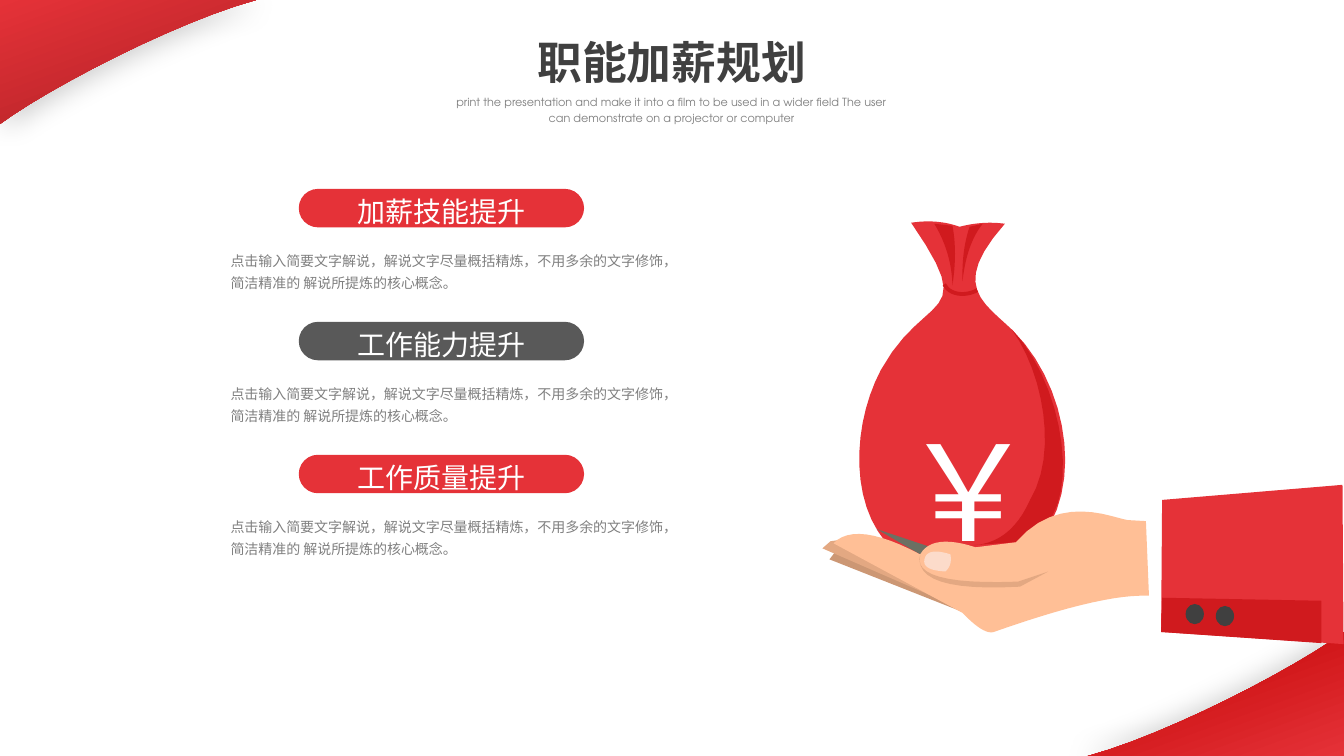
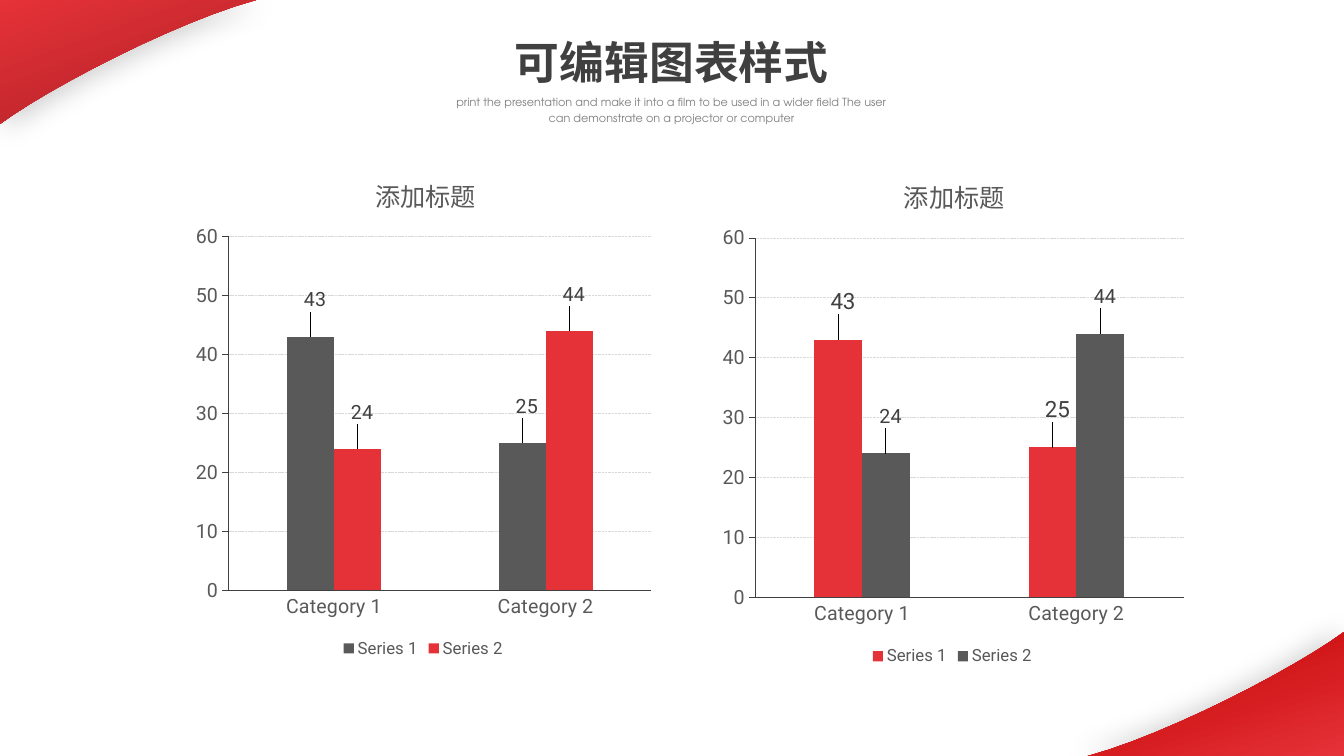
from math import comb

from lxml.etree import SubElement
from pptx import Presentation
from pptx.chart.data import CategoryChartData
from pptx.dml.color import RGBColor
from pptx.enum.chart import XL_CHART_TYPE as ChartType
from pptx.enum.chart import XL_LABEL_POSITION as LabelPosition
from pptx.enum.chart import XL_LEGEND_POSITION as LegendPosition
from pptx.enum.chart import XL_TICK_MARK as TickMark
from pptx.enum.dml import MSO_LINE as LineStyle
from pptx.enum.shapes import MSO_SHAPE as ShapeKind
from pptx.enum.text import MSO_AUTO_SIZE as AutoSize
from pptx.enum.text import PP_ALIGN as Align
from pptx.oxml import parse_xml
from pptx.oxml.ns import nsdecls, qn
from pptx.util import Cm, Pt

RED = RGBColor.from_string("E53238")
DEEP_RED = RGBColor.from_string("D01A1E")
BAND_DARK = RGBColor.from_string("AC2125")
BAND_CRIMSON = RGBColor.from_string("C00000")
WHITE = RGBColor.from_string("FFFFFF")
BLACK = RGBColor.from_string("000000")
INK = RGBColor.from_string("404040")
SLATE = RGBColor.from_string("595959")
GREY = RGBColor.from_string("808080")
GRID = RGBColor.from_string("D9D9D9")
OLIVE = RGBColor.from_string("6C7063")
SKIN = RGBColor.from_string("FFBF96")
SKIN_SHADE = RGBColor.from_string("E3A882")
SKIN_DARK = RGBColor.from_string("CC9774")
NAIL = RGBColor.from_string("FCDBCA")

CJK_FONT = "Noto Sans CJK SC"
TITLE_FONT = "TeX Gyre Adventor"
CHART_FONT = "Roboto"

OUTLINE_UNIT = Cm(2.54) / 100
CURVE_STEPS = 12

SUBTITLE = ("print the presentation and make it into a film to be used in a wider field "
            "The user can demonstrate on a projector or computer")
ADVICE = ("点击输入简要文字解说，解说文字尽量概括精炼，不用多余的文字修饰，"
          "简洁精准的 解说所提炼的核心概念。")

BAND = [(0, 0), (254, 0), (174, 22, 49, 87, 0, 123)]
BAG = [(904, 221), (972, 320, 918, 287, 874, 367), (849, 414, 843, 483, 871, 527),
       (900, 574, 945, 567, 985, 565), (1020, 562, 1042, 520),
       (1072, 465, 1055, 378, 1005, 328), (976, 300, 942, 284, 997, 222),
       (975, 219, 952, 225), (930, 217, 904, 221)]
BAG_SHADE = [(1004, 327), (1035, 370, 1050, 450, 1022, 496), (1002, 541, 962, 541),
             (1008, 538), (1044, 512), (1068, 470, 1050, 375, 1004, 327)]
BAG_BASE = [(870, 525), (913, 550), (921, 542)]
LEFT_FOLD = [(927, 222), (944, 250, 945, 283), (950, 250, 945, 224)]
RIGHT_FOLD = [(975, 222), (962, 225), (954, 249, 955, 279), (959, 242, 975, 222)]
LOWER_FINGER = [(823, 555), (970, 613), (989, 589), (830, 546)]
UPPER_FINGER = [(816, 544), (963, 608), (982, 584), (870, 527, 824, 537)]
HAND = [(1137, 517), (1119, 516), (1104, 514, 1051, 488, 1008, 538), (968, 543),
        (925, 529, 913, 550), (849, 516, 827, 539), (955, 608),
        (976, 630, 986, 627), (1085, 592, 1131, 591), (1140, 591)]
THUMB_CREASE = [(913, 550), (903, 581, 1010, 577), (1040, 567), (1012, 582),
                (905, 588, 913, 550)]
THUMB_NAIL = [(943, 550), (945, 561, 938, 567), (917, 566, 917, 557),
              (918, 542, 943, 550)]
SLEEVE = [(1153, 496), (1152, 627), (1333, 639), (1332, 481)]
CUFF = [(1153, 593), (1152, 627), (1311, 638), (1311, 596)]

BAG_IN_HAND = [
    (RED, BAG), (DEEP_RED, BAG_SHADE), (OLIVE, BAG_BASE),
    (DEEP_RED, LEFT_FOLD), (DEEP_RED, RIGHT_FOLD),
    (SKIN_DARK, LOWER_FINGER), (SKIN_SHADE, UPPER_FINGER), (SKIN, HAND),
    (SKIN_SHADE, THUMB_CREASE), (NAIL, THUMB_NAIL), (RED, SLEEVE), (DEEP_RED, CUFF),
]

RAISE_PLANS = [("加薪技能提升", RED), ("工作能力提升", SLATE), ("工作质量提升", RED)]
SCORES = [("Series 1", (43, 25)), ("Series 2", (24, 44))]


def bezier(nodes, share):
    degree = len(nodes) - 1
    weights = [comb(degree, i) * share ** i * (1 - share) ** (degree - i)
               for i in range(degree + 1)]
    return tuple(sum(weight * node[axis] for weight, node in zip(weights, nodes))
                 for axis in (0, 1))


def add_outline(shapes, outline):
    points = outline[:1]
    for segment in outline[1:]:
        nodes = [points[-1], *zip(segment[::2], segment[1::2])]
        steps = CURVE_STEPS if len(nodes) > 2 else 1
        points += [bezier(nodes, step / steps) for step in range(1, steps + 1)]
    corners = [(x * OUTLINE_UNIT, y * OUTLINE_UNIT) for x, y in points]
    builder = shapes.build_freeform(*corners[0], scale=1.0)
    builder.add_line_segments(corners[1:], close=True)
    shape = builder.convert_to_shape()
    shape.line.fill.background()
    shape.shadow.inherit = False
    return shape


def paint(shape, color):
    shape.fill.solid()
    shape.fill.fore_color.rgb = color
    shape.line.fill.background()
    shape.shadow.inherit = False


def add_band(page, layout, end_color, shadow_angle):
    band = add_outline(page.shapes, BAND)
    band.fill.gradient()
    band.fill.gradient_angle = 290
    for stop, color in zip(band.fill.gradient_stops, (RED, end_color)):
        stop.color.rgb = color
    effects = band.element.find(".//" + qn("a:effectLst"))
    effects.append(parse_xml(
        f'<a:outerShdw {nsdecls("a")} blurRad="{Pt(20)}" dist="{Pt(5)}" '
        f'dir="{shadow_angle * 60000}" algn="ctr" rotWithShape="0">'
        '<a:srgbClr val="000000"><a:alpha val="20000"/></a:srgbClr></a:outerShdw>'))
    layout.shapes.element.append(band.element)
    return band


def set_font(font, size, color, name, bold=None):
    font.size = Pt(size)
    font.color.rgb = color
    font.name = name
    font.bold = bold


def add_text(page, text, place, size, color, name=CJK_FONT, align=Align.CENTER,
             spacing=1.3, bold=None, wrap=True, grow=True):
    box = page.shapes.add_textbox(*map(Cm, place))
    frame = box.text_frame
    frame.word_wrap = wrap
    frame.auto_size = AutoSize.SHAPE_TO_FIT_TEXT if grow else AutoSize.NONE
    para = frame.paragraphs[0]
    para.text = text
    para.alignment = align
    para.line_spacing = spacing
    set_font(para.font, size, color, name, bold)
    for latin in list(box.element.iter(qn("a:latin"))):
        latin.addnext(parse_xml(f'<a:ea {nsdecls("a")} typeface="{CJK_FONT}"/>'))


def add_heading(page, title):
    add_text(page, title, (11, 0.74, 11.86, 1.63), 32, INK, TITLE_FONT,
             spacing=None, bold=True)
    add_text(page, SUBTITLE, (11, 2.21, 11.86, 1.07), 8, GREY, TITLE_FONT, spacing=1.2)


def add_raise_plan(page, name, color, top):
    pill = page.shapes.add_shape(ShapeKind.ROUNDED_RECTANGLE,
                                 Cm(7.53), Cm(top), Cm(7.19), Cm(0.97))
    pill.adjustments[0] = 0.5
    paint(pill, color)
    add_text(page, name, (8.74, top - 0.24, 4.78, 1.27), 20, WHITE, wrap=False)
    add_text(page, ADVICE, (5.56, top + 1.36, 11.94, 1.32), 10, GREY, align=Align.LEFT)


def add_bag_in_hand(page):
    group = page.shapes.add_group_shape()
    for color, outline in BAG_IN_HAND:
        paint(add_outline(group.shapes, outline), color)
    for left, top in ((29.88, 15.22), (30.64, 15.27)):
        button = group.shapes.add_shape(ShapeKind.OVAL, Cm(left), Cm(top),
                                        Cm(0.46), Cm(0.51))
        paint(button, INK)
    tie = group.shapes.add_shape(ShapeKind.ARC, Cm(23.72), Cm(6.35), Cm(1.35), Cm(1.02))
    tie.rotation = 152.8
    tie.fill.background()
    tie.line.color.rgb = DEEP_RED
    tie.line.width = Pt(2.75)
    tie.shadow.inherit = False
    add_text(page, "￥", (20.52, 8.92, 7.77, 3.15), 96, WHITE, grow=False)


def set_layout(parent, index, **values):
    for old in parent.findall(qn("c:layout")):
        parent.remove(old)
    layout = parse_xml(f'<c:layout {nsdecls("c")}><c:manualLayout/></c:layout>')
    for key, value in values.items():
        SubElement(layout[0], qn(f"c:{key}")).set("val", str(value))
    parent.insert(index, layout)


def style_axis(axis, tick):
    axis.major_tick_mark = tick
    axis.minor_tick_mark = TickMark.NONE
    set_font(axis.tick_labels.font, 14, SLATE, CHART_FONT)
    axis.format.line.color.rgb = INK
    axis.format.line.width = Pt(0.25)


def style_series(series, color, label_size):
    series.format.fill.solid()
    series.format.fill.fore_color.rgb = color
    series.data_labels.show_value = True
    set_font(series.data_labels.font, label_size, INK, CHART_FONT)
    for index in range(len(series.values)):
        label = series.points[index].data_label
        set_font(label.font, label_size, INK, CHART_FONT)
        label.position = LabelPosition.OUTSIDE_END


def add_score_chart(page, place, colors, label_sizes):
    data = CategoryChartData()
    data.categories = ["Category 1", "Category 2"]
    for name, values in SCORES:
        data.add_series(name, values)
    chart = page.shapes.add_chart(ChartType.COLUMN_CLUSTERED, *map(Cm, place), data).chart
    set_font(chart.font, 10, BLACK, CHART_FONT)

    chart.has_title = True
    title = chart.chart_title.text_frame
    title.text = "添加标题"
    set_font(title.paragraphs[0].font, 18, SLATE, CHART_FONT, False)
    chart.has_legend = True
    chart.legend.position = LegendPosition.BOTTOM
    chart.legend.include_in_layout = False
    set_font(chart.legend.font, 12, SLATE, CHART_FONT)

    style_axis(chart.category_axis, TickMark.NONE)
    scale = chart.value_axis
    style_axis(scale, TickMark.OUTSIDE)
    scale.minimum_scale, scale.maximum_scale, scale.major_unit = 0, 60, 10
    grid = scale.major_gridlines.format.line
    grid.color.rgb = GRID
    grid.width = Pt(0.25)
    grid.dash_style = LineStyle.SQUARE_DOT

    plot = chart.plots[0]
    plot.vary_by_categories = False
    plot.gap_width, plot.overlap = 250, 0
    for series, color, size in zip(plot.series, colors, label_sizes):
        style_series(series, color, size)

    set_layout(chart.element.find(".//" + qn("c:title")), 1,
               xMode="edge", yMode="edge", x=0.39, y=0.04)
    set_layout(chart.element.find(".//" + qn("c:plotArea")), 0, layoutTarget="inner",
               xMode="edge", yMode="edge", x=0.09, y=0.17, w=0.89, h=0.69)
    for label in list(chart.element.iter(qn("c:dLbl"))):
        set_layout(label, 1, x=0.01, y=-0.04)


def main():
    deck = Presentation()
    deck.slide_width, deck.slide_height = Cm(33.87), Cm(19.05)
    layout = deck.slide_layouts[6]
    for holder in list(layout.placeholders):
        layout.shapes.element.remove(holder.element)

    plan_page, chart_page = (deck.slides.add_slide(layout) for _ in range(2))
    add_band(plan_page, layout, BAND_DARK, 45)
    corner = add_band(plan_page, layout, BAND_CRIMSON, 180)
    corner.rotation = 180
    corner.left = deck.slide_width - corner.width
    corner.top = deck.slide_height - corner.height

    add_bag_in_hand(plan_page)
    for row, (name, color) in enumerate(RAISE_PLANS):
        add_raise_plan(plan_page, name, color, 4.76 + 3.35 * row)
    add_heading(plan_page, "职能加薪规划")

    add_score_chart(chart_page, (4.67, 3.76, 11.99, 12.93), (SLATE, RED), (14, 14))
    add_score_chart(chart_page, (17.93, 3.76, 12.14, 13.13), (RED, SLATE), (16, 14))
    add_heading(chart_page, "可编辑图表样式")
    deck.save("out.pptx")


if __name__ == "__main__":
    main()
